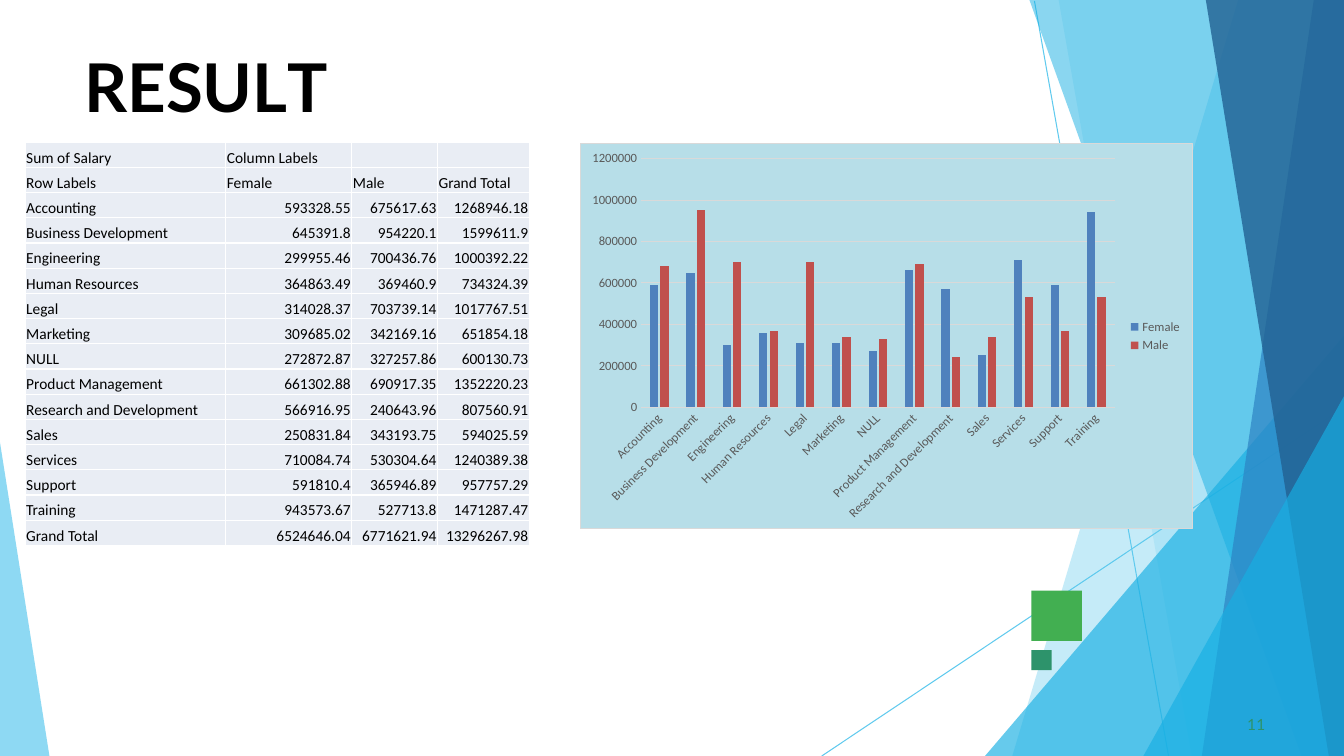
from lxml import etree
from pptx import Presentation
from pptx.chart.data import CategoryChartData
from pptx.dml.color import RGBColor
from pptx.enum.chart import XL_CHART_TYPE, XL_LEGEND_POSITION, XL_TICK_MARK
from pptx.enum.shapes import MSO_CONNECTOR, MSO_SHAPE
from pptx.enum.text import MSO_ANCHOR, PP_ALIGN
from pptx.oxml import parse_xml
from pptx.oxml.ns import nsdecls, qn
from pptx.util import Inches, Pt

COLUMNS = XL_CHART_TYPE.COLUMN_CLUSTERED
RIGHT_SIDE = XL_LEGEND_POSITION.RIGHT
NO_TICK = XL_TICK_MARK.NONE
STRAIGHT = MSO_CONNECTOR.STRAIGHT
SQUARE = MSO_SHAPE.RECTANGLE
BOTTOM = MSO_ANCHOR.BOTTOM
LEFT, RIGHT = PP_ALIGN.LEFT, PP_ALIGN.RIGHT


class Theme:
    sky, cyan, blue, navy = "5FCAEE", "17AFE3", "2D83C3", "226192"
    green, teal = "42AF51", "2D936B"
    black, grey, rule, white = "000000", "595959", "D9D9D9", "FFFFFF"
    cell, panel = "E9EDF4", "B7DEE8"
    bars = ("4F81BD", "C0504D")
    head, body = "Lato", "Calibri"
    title, small, chart, label = Pt(48), Pt(11), Pt(10), Pt(9)
    thin = Pt(0.75)


def style(item, **values):
    """Set each attribute; a colour goes to the item's colour object."""
    for name, value in values.items():
        if name == "color":
            item.color.rgb = RGBColor.from_string(value)
        else:
            setattr(item, name, value)


def paint(shape, color, alpha=100):
    """Fill a shape flat, with no line or shadow; alpha is in percent."""
    shape.shadow.inherit = False
    shape.line.fill.background()
    shape.fill.solid()
    shape.fill.fore_color.rgb = RGBColor.from_string(color)
    if alpha < 100:
        tint = shape._element.spPr.find(".//" + qn("a:srgbClr"))
        etree.SubElement(tint, qn("a:alpha")).set("val", str(alpha * 1000))


WIDE, HIGH = 13.33, 7.5
deck = Presentation()
style(deck, slide_width=Inches(WIDE), slide_height=Inches(HIGH))
slide = deck.slides.add_slide(deck.slide_layouts[6])
shapes = slide.shapes

# Background rays
for ends in ((10.26, 0.01, 11.59, HIGH), (WIDE, 4.04, 8.15, HIGH)):
    ray = shapes.add_connector(STRAIGHT, *map(Inches, ends))
    style(ray.line, color=Theme.sky, width=Theme.thin)
    etree.SubElement(ray._element.spPr, qn("a:effectLst"))

# Facets run from a slide edge: edge, top x, top y, bottom x, colour, alpha
facets = [
    (WIDE, 12.28, 0, 10.04, Theme.sky, 36),
    (WIDE, 10.5, 0, 11.82, Theme.sky, 20),
    (WIDE, WIDE, 3.33, 9.77, Theme.cyan, 66),
    (WIDE, 10.21, 0, 12.91, Theme.cyan, 50),
    (WIDE, 13.03, 0, 11.92, Theme.blue, 70),
    (WIDE, 11.96, 0, 13.18, Theme.navy, 80),
    (WIDE, WIDE, 3.93, 11.34, Theme.cyan, 66),
    (0, 0, 4.39, 0.49, Theme.sky, 70),
]
for edge, x, y, foot, color, alpha in facets:
    form = shapes.build_freeform(Inches(edge), Inches(y))
    points = ((x, y), (foot, HIGH), (edge, HIGH))
    form.add_line_segments([(Inches(a), Inches(b)) for a, b in points])
    paint(form.convert_to_shape(), color, alpha)

for y, side, color in ((5.86, 0.5, Theme.green), (6.45, 0.2, Theme.teal)):
    box = map(Inches, (10.23, y, side, side))
    paint(shapes.add_shape(SQUARE, *box), color)

# Title and page number; each run is text and letter spacing in 1/100 pt
texts = [
    ((0.83, 0.42, 2.67, 0.83), 0.01, 1.1,
     (("RESU", -15), ("L", -400), ("TS", 0)),
     dict(size=Theme.title, bold=True, color=Theme.black)),
    ((12.33, 7.08, 0.25, 0.21), 0.04, 0.6, (("11", 10),),
     dict(size=Theme.small, color=Theme.teal)),
]
for box, indent, before, runs, look in texts:
    frame = shapes.add_textbox(*map(Inches, box)).text_frame
    style(frame, word_wrap=True, margin_left=Inches(indent), margin_right=0,
          margin_top=Inches(0.01), margin_bottom=0)
    para = frame.paragraphs[0]
    style(para, space_before=Pt(before), line_spacing=1.02)
    for text, gap in runs:
        run = para.add_run()
        run.text = text
        style(run.font, name=Theme.head, **look)
        run._r.get_or_add_rPr().set("spc", str(gap))

# Salary table
rows = [
    ("Sum of Salary", "Column Labels", "", ""),
    ("Row Labels", "Female", "Male", "Grand Total"),
    ("Accounting", 593328.55, 675617.63, 1268946.18),
    ("Business Development", 645391.8, 954220.1, 1599611.9),
    ("Engineering", 299955.46, 700436.76, 1000392.22),
    ("Human Resources", 364863.49, 369460.9, 734324.39),
    ("Legal", 314028.37, 703739.14, 1017767.51),
    ("Marketing", 309685.02, 342169.16, 651854.18),
    ("NULL", 272872.87, 327257.86, 600130.73),
    ("Product Management", 661302.88, 690917.35, 1352220.23),
    ("Research and Development", 566916.95, 240643.96, 807560.91),
    ("Sales", 250831.84, 343193.75, 594025.59),
    ("Services", 710084.74, 530304.64, 1240389.38),
    ("Support", 591810.4, 365946.89, 957757.29),
    ("Training", 943573.67, 527713.8, 1471287.47),
    ("Grand Total", 6524646.04, 6771621.94, 13296267.98),
]
widths = (1.99, 1.25, 0.85, 0.91)
area = map(Inches, (0.25, 1.41, sum(widths), 4))
table = shapes.add_table(len(rows), len(widths), *area).table
style(table, first_row=False, horz_banding=False)
for col, width in zip(table.columns, widths):
    col.width = Inches(width)
for r, row in enumerate(rows):
    table.rows[r].height = Inches(0.25)
    for c, value in enumerate(row):
        cell = table.cell(r, c)
        pad = Inches(0.01)
        style(cell, vertical_anchor=BOTTOM, margin_left=pad,
              margin_right=pad, margin_top=pad, margin_bottom=0)
        cell.fill.solid()
        cell.fill.fore_color.rgb = RGBColor.from_string(Theme.cell)
        para = cell.text_frame.paragraphs[0]
        para.alignment = LEFT if isinstance(value, str) else RIGHT
        if value:
            run = para.add_run()
            run.text = str(value)
            style(run.font, name=Theme.body, size=Theme.small,
                  color=Theme.black)
        else:
            end = etree.SubElement(para._p, qn("a:endParaRPr"))
            end.set("sz", str(int(Theme.small.pt * 100)))
        for i, side in enumerate("LRTB"):
            cell._tc.get_or_add_tcPr().insert(i, parse_xml(
                f'<a:ln{side} {nsdecls("a")} w="12700"><a:solidFill>'
                f'<a:srgbClr val="{Theme.white}"/></a:solidFill></a:ln{side}>'))

# Chart of the department rows, to the nearest ten thousand
data = CategoryChartData()
groups = rows[2:-1]
data.categories = [row[0] for row in groups]
for c in (1, 2):
    data.add_series(rows[1][c], [int(round(row[c], -4)) for row in groups])
area = map(Inches, (5.75, 1.42, 6.08, 3.83))
chart = shapes.add_chart(COLUMNS, *area, data).chart
style(chart, has_title=False, has_legend=True)
style(chart.font, name=Theme.body, size=Theme.chart)
style(chart.legend, position=RIGHT_SIDE, include_in_layout=False)
plot = chart.plots[0]
style(plot, gap_width=219, overlap=-27, vary_by_categories=False)
for series, color in zip(plot.series, Theme.bars):
    series.format.fill.solid()
    series.format.fill.fore_color.rgb = RGBColor.from_string(color)

names, scale = chart.category_axis, chart.value_axis
for axis in (names, scale):
    style(axis, major_tick_mark=NO_TICK, minor_tick_mark=NO_TICK)
for font in (names.tick_labels.font, scale.tick_labels.font, chart.legend.font):
    style(font, name=Theme.body, size=Theme.label, color=Theme.grey)
names._element.find(qn("c:txPr")).find(qn("a:bodyPr")).set("rot", "-2700000")
style(scale, minimum_scale=0, maximum_scale=1200000, major_unit=200000,
      has_major_gridlines=True)
scale.format.line.fill.background()
for line in (names.format.line, scale.major_gridlines.format.line):
    style(line, color=Theme.rule, width=Theme.thin)
chart._chartSpace.find(qn("c:chart")).addnext(parse_xml(
    f'<c:spPr {nsdecls("c", "a")}><a:solidFill><a:srgbClr val="{Theme.panel}"/>'
    f'</a:solidFill><a:ln w="{Theme.thin}"><a:solidFill>'
    f'<a:srgbClr val="{Theme.rule}"/></a:solidFill></a:ln></c:spPr>'))

deck.save("out.pptx")
